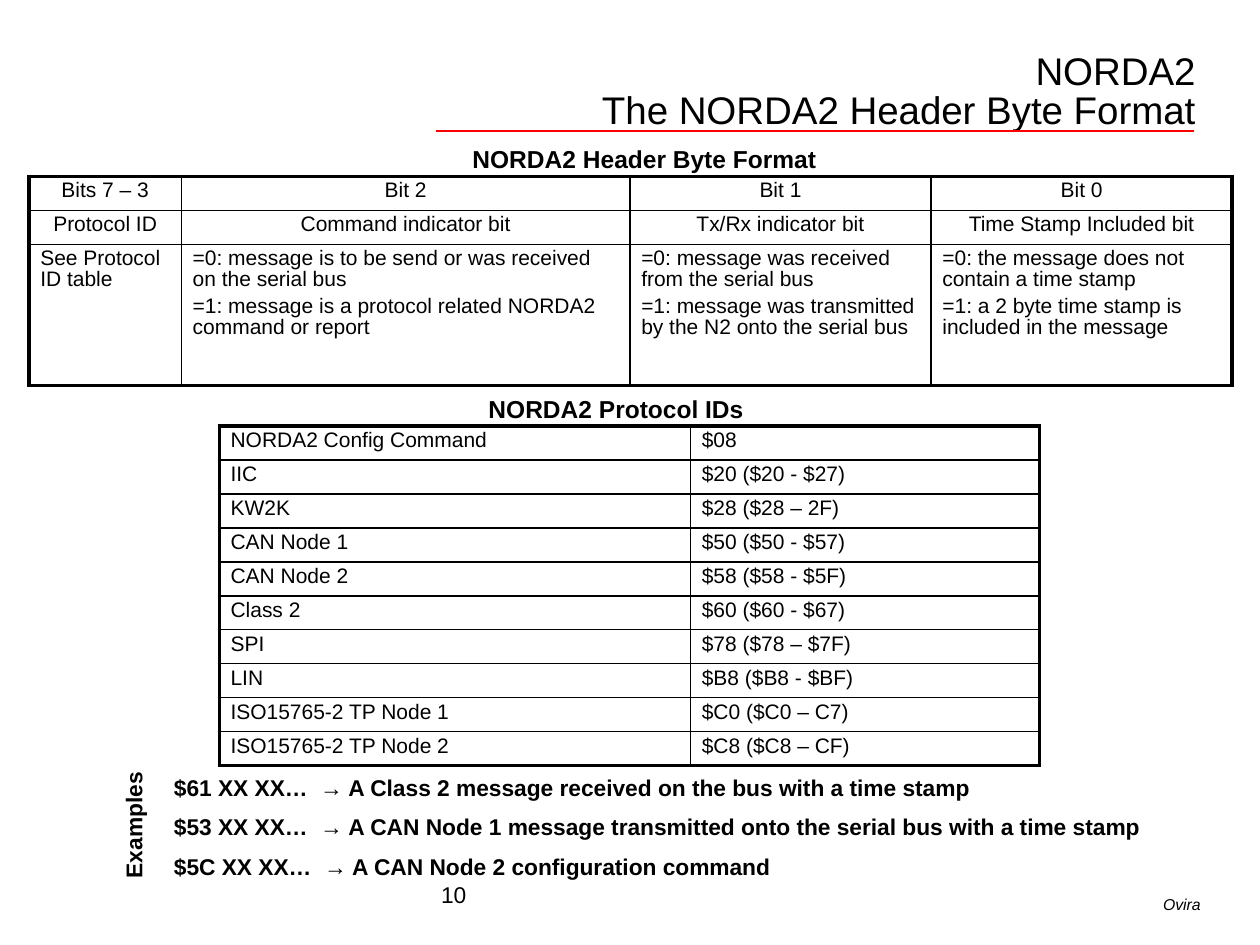
import dataclasses

import pptx
import pptx.dml.color
import pptx.enum.shapes
import pptx.enum.text
import pptx.oxml
import pptx.oxml.ns
import pptx.util

Inches = pptx.util.Inches
Pt = pptx.util.Pt
Align = pptx.enum.text.PP_ALIGN
Anchor = pptx.enum.text.MSO_ANCHOR


@dataclasses.dataclass(frozen=True)
class Theme:
    font: str = "Arial"
    text: str = "000000"
    accent: str = "FF0000"
    title: float = 22
    caption: float = 14
    body: float = 13
    cell: float = 12
    footer: float = 9
    outer_border: float = 2.25
    inner_border: float = 1


THEME = Theme()

HEADER_ROWS = [
    ["Bits 7 – 3", "Bit 2", "Bit 1", "Bit 0"],
    ["Protocol ID", "Command indicator bit", "Tx/Rx indicator bit", "Time Stamp Included bit"],
    [
        "See Protocol ID table",
        "=0: message is to be send or was received on the serial bus\n"
        "=1: message is a protocol related NORDA2 command or report",
        "=0: message was received from the serial bus\n"
        "=1: message was transmitted by the N2 onto the serial bus",
        "=0: the message does not contain a time stamp\n"
        "=1: a 2 byte time stamp is included in the message",
    ],
]

PROTOCOL_ROWS = [
    ["NORDA2 Config Command", "$08"],
    ["IIC", "$20 ($20 - $27)"],
    ["KW2K", "$28 ($28 – 2F)"],
    ["CAN Node 1", "$50 ($50 - $57)"],
    ["CAN Node 2", "$58 ($58 - $5F)"],
    ["Class 2", "$60 ($60 - $67)"],
    ["SPI", "$78 ($78 – $7F)"],
    ["LIN", "$B8 ($B8 - $BF)"],
    ["ISO15765-2 TP Node 1", "$C0 ($C0 – C7)"],
    ["ISO15765-2 TP Node 2", "$C8 ($C8 – CF)"],
]

EXAMPLES = [
    "$61 XX XX…  → A Class 2 message received on the bus with a time stamp",
    "$53 XX XX…  → A CAN Node 1 message transmitted onto the serial bus with a time stamp",
    "$5C XX XX…  → A CAN Node 2 configuration command",
]


def add_run(paragraph, text, size, bold=False, italic=False):
    run = paragraph.add_run()
    run.text = text
    run.font.name = THEME.font
    run.font.size = Pt(size)
    run.font.bold = bold
    run.font.italic = italic
    run.font.color.rgb = pptx.dml.color.RGBColor.from_string(THEME.text)


def fill_paragraphs(frame, lines, size, align=Align.LEFT, gap=0, line_spacing=None, **style):
    for index, line in enumerate(lines):
        paragraph = frame.add_paragraph() if index else frame.paragraphs[0]
        paragraph.alignment = align
        paragraph.line_spacing = line_spacing
        paragraph.space_before = Pt(gap if index else 0)
        add_run(paragraph, line, size, **style)


def set_margins(target, horizontal, vertical):
    target.margin_left = target.margin_right = Inches(horizontal)
    target.margin_top = target.margin_bottom = Inches(vertical)


def add_text(slide, box, lines, size, anchor=Anchor.TOP, wrap=True, rotation=0, **style):
    shape = slide.shapes.add_textbox(*map(Inches, box))
    shape.rotation = rotation
    frame = shape.text_frame
    frame.word_wrap = wrap
    frame.vertical_anchor = anchor
    set_margins(frame, 0.09, 0.04)
    fill_paragraphs(frame, lines, size, **style)


def set_title(slide, box, lines):
    title = slide.shapes.title
    title.left, title.top, title.width, title.height = map(Inches, box)
    frame = title.text_frame
    frame.word_wrap = True
    frame.auto_size = pptx.enum.text.MSO_AUTO_SIZE.NONE
    frame.vertical_anchor = Anchor.BOTTOM
    set_margins(frame, 0, 0)
    paragraph = frame.paragraphs[0]
    paragraph.alignment = Align.RIGHT
    paragraph.line_spacing = 0.85
    for index, line in enumerate(lines):
        if index:
            paragraph.add_line_break()
        add_run(paragraph, line, THEME.title)


def add_rule(slide, start, end):
    line = slide.shapes.add_connector(
        pptx.enum.shapes.MSO_CONNECTOR.STRAIGHT, *map(Inches, (*start, *end))
    )
    line.line.color.rgb = pptx.dml.color.RGBColor.from_string(THEME.accent)
    line.line.width = Pt(1)
    line._element.spPr.append(pptx.oxml.parse_xml(
        f"<a:effectLst {pptx.oxml.ns.nsdecls('a')}/>"
    ))


def set_borders(cell, outer_sides):
    properties = cell._tc.get_or_add_tcPr()
    for side, is_outer in outer_sides.items():
        width = Pt(THEME.outer_border if is_outer else THEME.inner_border)
        properties.append(pptx.oxml.parse_xml(
            f'<a:ln{side} {pptx.oxml.ns.nsdecls("a")} w="{width}"><a:solidFill>'
            f'<a:srgbClr val="{THEME.text}"/></a:solidFill></a:ln{side}>'
        ))


def add_grid(slide, left, top, widths, heights, rows, centred_rows=0):
    table = slide.shapes.add_table(
        len(rows), len(widths), Inches(left), Inches(top),
        Inches(sum(widths)), Inches(sum(heights)),
    ).table
    table.first_row = table.horz_banding = False
    for column, width in zip(table.columns, widths):
        column.width = Inches(width)
    for row, height in zip(table.rows, heights):
        row.height = Inches(height)
    for r, texts in enumerate(rows):
        for c, text in enumerate(texts):
            cell = table.cell(r, c)
            set_margins(cell, 0.09, 0.04)
            align = Align.CENTER if r < centred_rows else Align.LEFT
            fill_paragraphs(cell.text_frame, text.split("\n"), THEME.cell,
                            align=align, gap=3.6, line_spacing=0.88)
            set_borders(cell, {
                "L": c == 0, "R": c == len(widths) - 1,
                "T": r == 0, "B": r == len(rows) - 1,
            })
            cell.fill.background()


def main():
    presentation = pptx.Presentation()
    presentation.slide_width = Inches(10)
    presentation.slide_height = Inches(7.5)
    slide = presentation.slides.add_slide(presentation.slide_layouts[5])

    add_rule(slide, (3.46, 1.04), (9.48, 1.04))
    set_title(slide, (3.13, 0.09, 6.36, 0.96), ["NORDA2", "The NORDA2 Header Byte Format"])

    add_grid(slide, 1.74, 3.38, [3.74, 2.77], [0.27] * len(PROTOCOL_ROWS), PROTOCOL_ROWS)
    add_text(slide, (3.59, 3.09, 2.6, 0.32), ["NORDA2 Protocol IDs"], THEME.caption,
             align=Align.CENTER, bold=True)

    add_grid(slide, 0.23, 1.4, [1.21, 3.56, 2.39, 2.39], [0.27, 0.27, 1.12],
             HEADER_ROWS, centred_rows=2)
    add_text(slide, (3.41, 1.1, 3.41, 0.32), ["NORDA2 Header Byte Format"], THEME.caption,
             align=Align.CENTER, bold=True)

    add_text(slide, (1.29, 6.1, 7.95, 0.96), EXAMPLES, THEME.body, gap=7, bold=True)
    add_text(slide, (0.55, 6.39, 1.03, 0.31), ["Examples"], THEME.body, rotation=270, bold=True)

    add_text(slide, (3.41, 6.84, 3.18, 0.51), ["10"], THEME.body, anchor=Anchor.MIDDLE)
    add_text(slide, (6.59, 7.06, 3.03, 0.24), ["Ovira"], THEME.footer,
             align=Align.RIGHT, italic=True)

    presentation.save("out.pptx")


if __name__ == "__main__":
    main()
